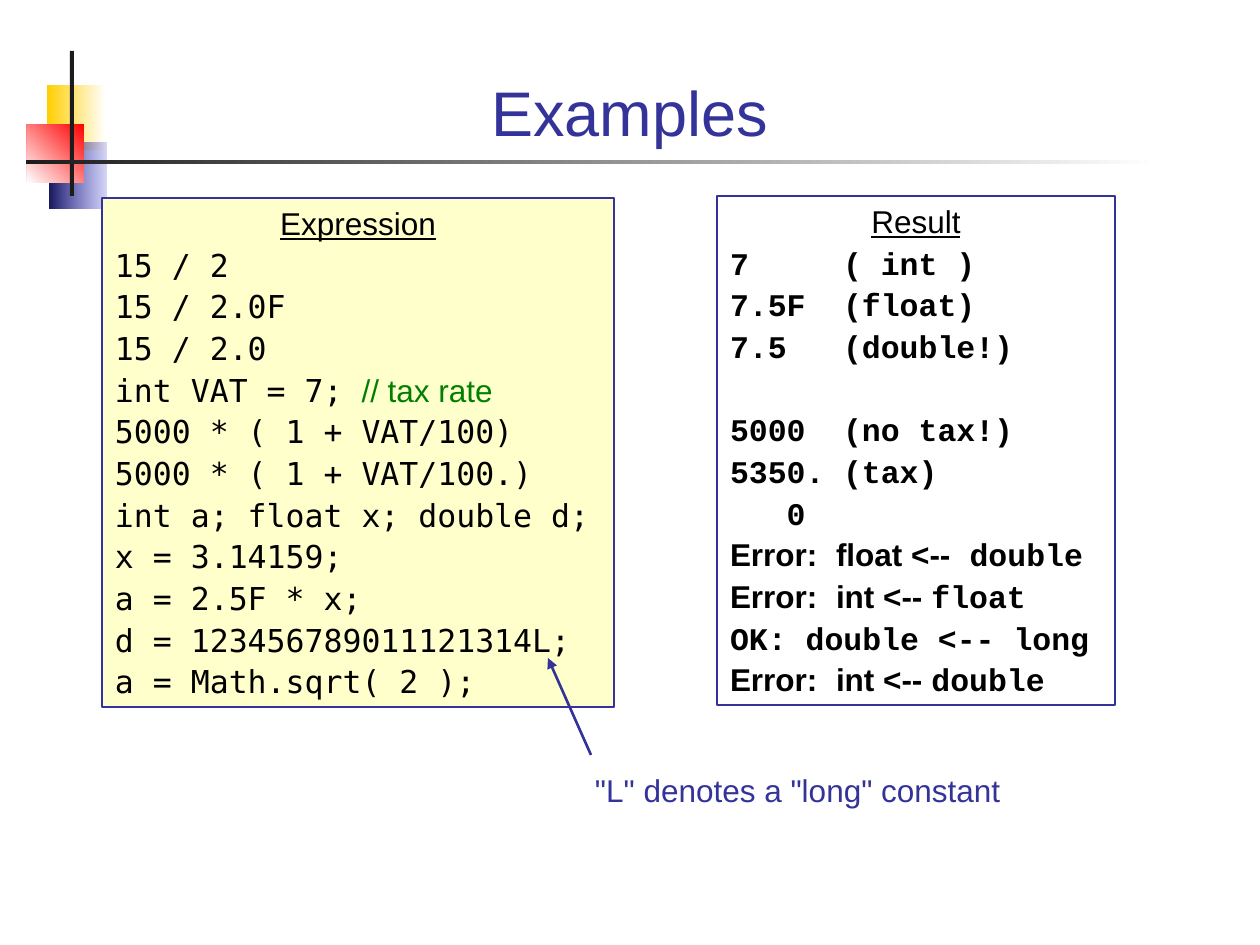
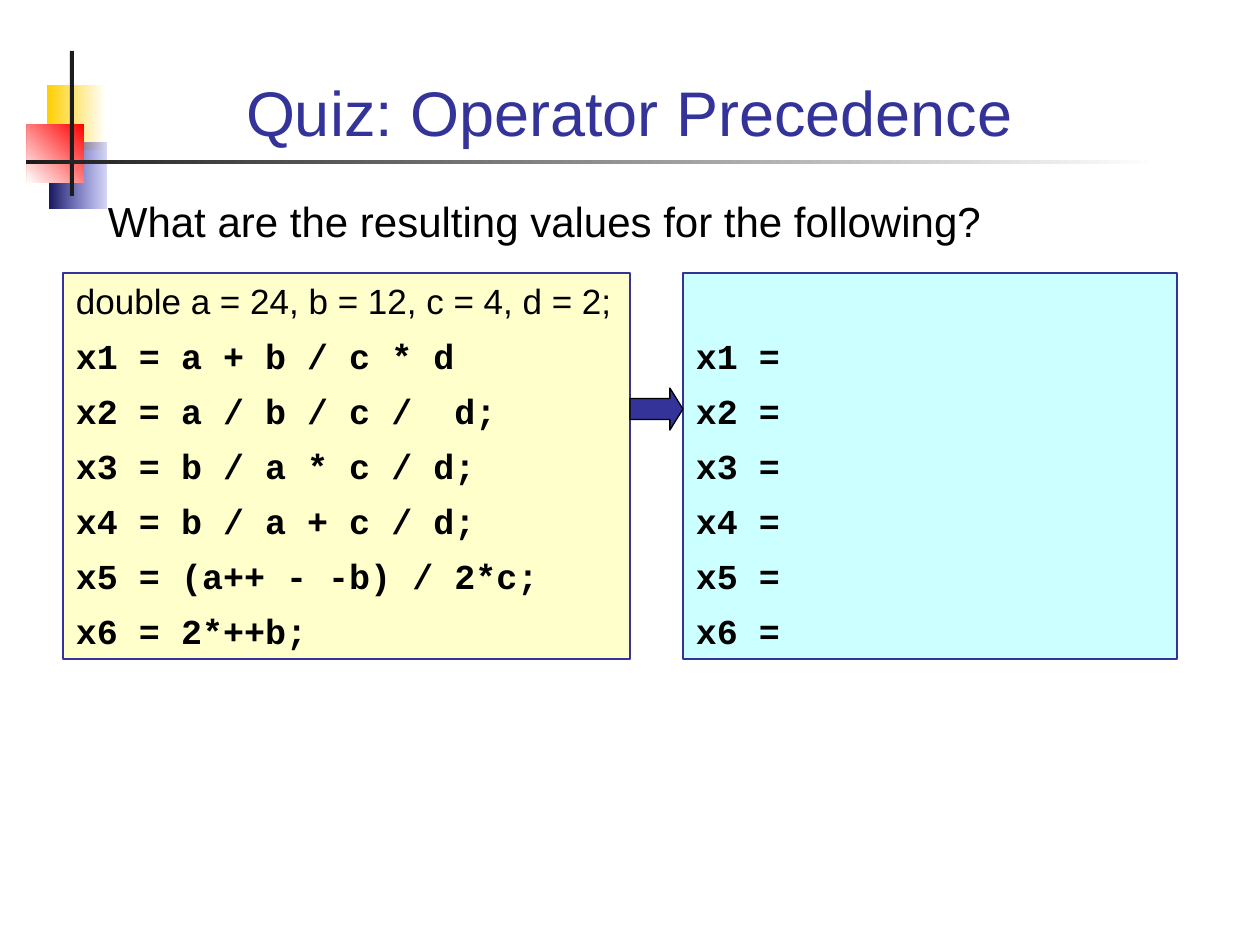
from lxml import etree
from pptx import Presentation
from pptx.dml.color import RGBColor
from pptx.enum.shapes import MSO_CONNECTOR, MSO_SHAPE
from pptx.enum.text import MSO_ANCHOR, PP_ALIGN
from pptx.oxml.ns import qn
from pptx.util import Emu, Pt

RECT, ARROW = MSO_SHAPE.RECTANGLE, MSO_SHAPE.RIGHT_ARROW
STRAIGHT = MSO_CONNECTOR.STRAIGHT
LEFT, CENTER = PP_ALIGN.LEFT, PP_ALIGN.CENTER
TOP, BOTTOM = MSO_ANCHOR.TOP, MSO_ANCHOR.BOTTOM

SANS, CODE, MONO = "Arial", "Courier New", "DejaVu Sans Mono"
INDIGO, BLACK, WHITE, GREEN = "333399", "000000", "FFFFFF", "008000"
CREAM, AQUA, CHARCOAL = "FFFFCC", "CCFFFF", "1C1C1C"
LINE_HEIGHT = 1.2
INSET_X, INSET_Y = 13, 6

DECOR = [
    ((47, 85, 59, 65), (WHITE, "FFCF01"), 180),
    ((49, 143, 57, 66), ("3333CC", "17175E"), 180),
    ((27, 124, 57, 59), ("FF0000", WHITE), 225),
    ((70, 51, 4, 145), CHARCOAL, None),
    ((26, 160, 1133, 4), (WHITE, CHARCOAL), 180),
]
TITLE_BOX = (84, 35, 1091, 120)

EXPRESSIONS = [
    "15 / 2",
    "15 / 2.0F",
    "15 / 2.0",
    [("int VAT = 7; ", {}), ("// tax rate", {"font": SANS, "color": GREEN})],
    "5000 * ( 1 + VAT/100)",
    "5000 * ( 1 + VAT/100.)",
    "int a; float x; double d;",
    "x = 3.14159;",
    "a = 2.5F * x;",
    "d = 123456789011121314L;",
    "a = Math.sqrt( 2 );",
]
VALUES = ["7\t( int )", "7.5F\t(float)", "7.5\t(double!)"]
TAXED = ["5000\t(no tax!)", "5350.\t(tax)", "   0"]
ASSIGNMENTS = [
    [("Error:\tfloat <--", {"font": SANS}), (" double", {})],
    [("Error:\tint <-- ", {"font": SANS}), ("float", {})],
    "OK: double <-- long",
    [("Error:\tint <-- ", {"font": SANS}), ("double", {})],
]
VALUE_TAB, ERROR_TAB = 113, 106

QUESTION = "What are the resulting values for the following?"
DECLARATION = "double a = 24, b = 12, c = 4, d = 2;"
FORMULAS = [
    "x1 = a + b / c * d",
    "x2 = a / b / c /  d;",
    "x3 = b / a * c / d;",
    "x4 = b / a + c / d;",
    "x5 = (a++ - -b) / 2*c;",
    "x6 = 2*++b;",
]
ANSWERS = [f"x{i} =" for i in range(1, len(FORMULAS) + 1)]


def px(n):
    return Emu(round(n * 914400 / 126))


def rgb(value):
    return RGBColor.from_string(value)


def add_box(slide, box, fill=None, line=None, shape=RECT, angle=None):
    sp = slide.shapes.add_shape(shape, *map(px, box))
    sp.shadow.inherit = False
    if fill is None:
        sp.fill.background()
    elif angle is not None:
        sp.fill.gradient()
        sp.fill.gradient_angle = angle
        for stop, color in zip(sp.fill.gradient_stops, fill):
            stop.color.rgb = rgb(color)
    else:
        sp.fill.solid()
        sp.fill.fore_color.rgb = rgb(fill)
    if line:
        sp.line.color.rgb = rgb(line)
        sp.line.width = Pt(0.75)
    else:
        sp.line.fill.background()
    return sp


def setup_frame(sp, anchor=TOP, top=INSET_Y):
    tf = sp.text_frame
    tf.word_wrap = True
    tf.vertical_anchor = anchor
    tf.margin_left = tf.margin_right = px(INSET_X)
    tf.margin_top, tf.margin_bottom = px(top), px(INSET_Y)
    return tf


def add_text(tf, text, size=18, font=SANS, color=BLACK, bold=False,
             underline=False, align=LEFT, before=0, tab=None):
    first = not tf.paragraphs[0].runs
    p = tf.paragraphs[0] if first else tf.add_paragraph()
    p.alignment = align
    p.line_spacing = Pt(size * LINE_HEIGHT)
    p.space_before = Pt(0 if first else before)
    if tab:
        tabs = etree.SubElement(p._p.get_or_add_pPr(), qn("a:tabLst"))
        etree.SubElement(tabs, qn("a:tab"), pos=str(px(tab)), algn="l")
    for part, style in [(text, {})] if isinstance(text, str) else text:
        r = p.add_run()
        r.text = part
        r.font.size = Pt(size)
        r.font.name = style.get("font", font)
        r.font.color.rgb = rgb(style.get("color", color))
        r.font.bold = bold
        r.font.underline = underline


def add_lines(tf, lines, **fmt):
    for line in lines:
        add_text(tf, line, **fmt)


def add_label(slide, box, text, anchor=TOP, **fmt):
    sp = slide.shapes.add_textbox(*map(px, box))
    add_text(setup_frame(sp, anchor), text, **fmt)


def add_arrow_line(slide, start, end):
    line = slide.shapes.add_connector(STRAIGHT, *map(px, start + end))
    line.line.color.rgb = rgb(INDIGO)
    line.line.width = Pt(1.5)
    etree.SubElement(line.line._get_or_add_ln(), qn("a:tailEnd"), type="triangle")
    etree.SubElement(line._element.spPr, qn("a:effectLst"))


def add_slide(prs, title):
    slide = prs.slides.add_slide(prs.slide_layouts[6])
    for box, fill, angle in DECOR:
        sp = add_box(slide, box, fill, angle=angle)
        if fill[0] == "3333CC":
            color = sp._element.spPr.find(".//" + qn("a:srgbClr"))
            etree.SubElement(color, qn("a:alpha"), val="20000")
    add_label(slide, TITLE_BOX, title, BOTTOM, size=36, color=INDIGO, align=CENTER)
    return slide


def build_examples(prs):
    slide = add_slide(prs, "Examples")
    gap = 2.2
    heading = {"underline": True, "align": CENTER}

    tf = setup_frame(add_box(slide, (102, 198, 512, 509), CREAM, INDIGO))
    add_text(tf, "Expression", **heading)
    add_lines(tf, EXPRESSIONS, font=MONO, before=gap)

    tf = setup_frame(add_box(slide, (717, 196, 398, 509), line=INDIGO))
    add_text(tf, "Result", **heading)
    code = {"font": CODE, "bold": True}
    skipped_row = 18 * LINE_HEIGHT + gap
    add_lines(tf, VALUES, before=gap, tab=VALUE_TAB, **code)
    add_text(tf, TAXED[0], before=gap + skipped_row, tab=VALUE_TAB, **code)
    add_lines(tf, TAXED[1:], before=gap, tab=VALUE_TAB, **code)
    add_lines(tf, ASSIGNMENTS, before=gap, tab=ERROR_TAB, **code)

    add_arrow_line(slide, (591, 755), (548, 658))
    add_label(slide, (582, 765, 447, 50), '"L" denotes a "long" constant', color=INDIGO)


def build_quiz(prs):
    slide = add_slide(prs, "Quiz: Operator Precedence")
    add_label(slide, (95, 189, 1071, 84), QUESTION, size=24)
    size, gap = 20, 7.5
    code = {"size": size, "font": CODE, "bold": True, "before": gap}

    tf = setup_frame(add_box(slide, (63, 273, 567, 386), CREAM, INDIGO))
    add_text(tf, DECLARATION, size=size)
    add_lines(tf, FORMULAS, **code)

    first_row = round((size * LINE_HEIGHT + gap) * 126 / 72)
    sp = add_box(slide, (683, 273, 494, 386), AQUA, INDIGO)
    add_lines(setup_frame(sp, top=INSET_Y + first_row), ANSWERS, **code)

    arrow = add_box(slide, (630, 388, 53, 42), INDIGO, BLACK, ARROW)
    arrow.adjustments[0], arrow.adjustments[1] = 0.5, 0.31


def main():
    prs = Presentation()
    prs.slide_width, prs.slide_height = px(1260), px(945)
    build_examples(prs)
    build_quiz(prs)
    prs.save("out.pptx")


if __name__ == "__main__":
    main()
